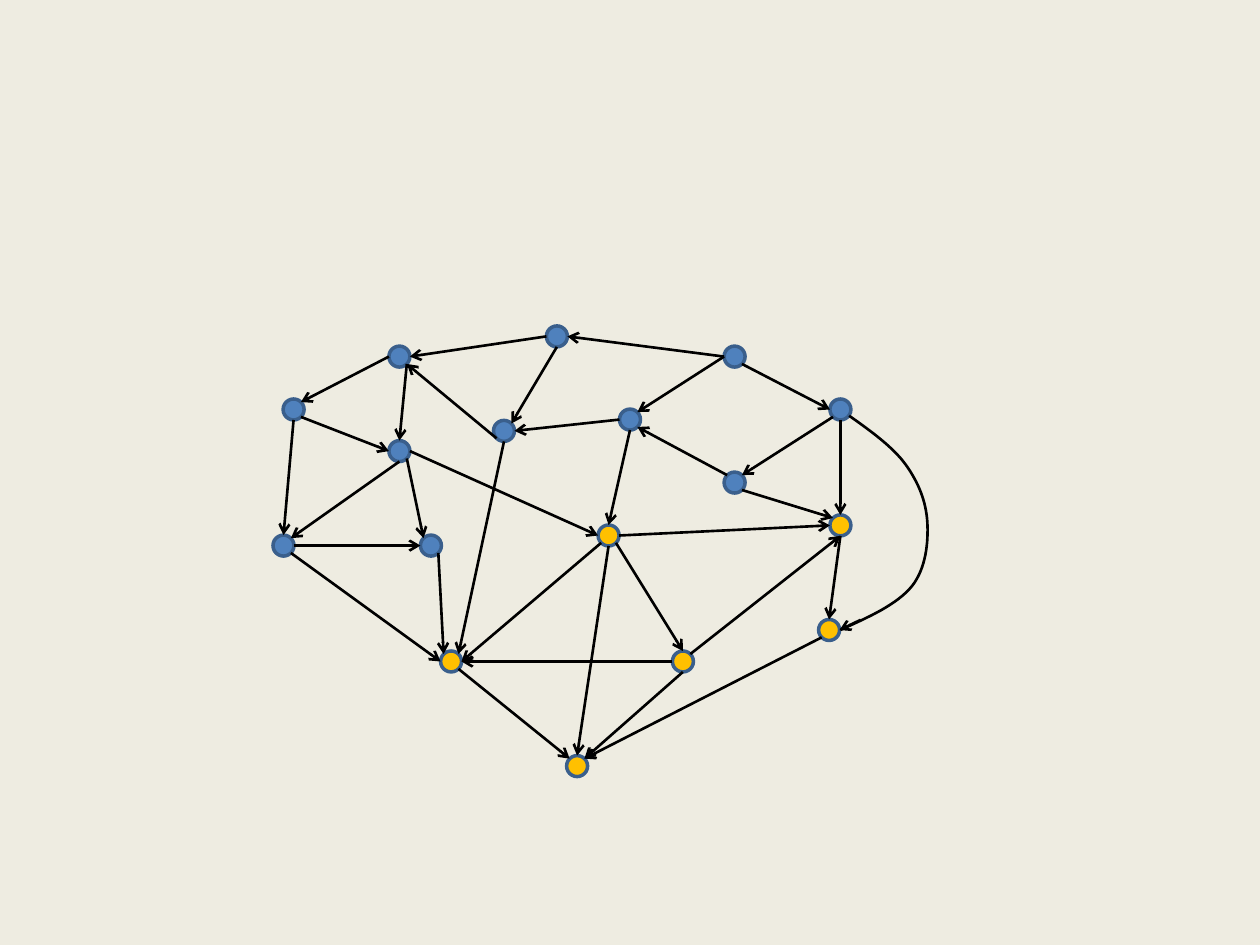
from dataclasses import dataclass
from math import sqrt

from lxml import etree
from pptx import Presentation
from pptx.dml.color import RGBColor
from pptx.enum.shapes import MSO_CONNECTOR, MSO_SHAPE
from pptx.oxml.ns import qn
from pptx.util import Inches, Pt

STRAIGHT = MSO_CONNECTOR.STRAIGHT
OVAL = MSO_SHAPE.OVAL
BLANK_LAYOUT = 6


@dataclass(frozen=True)
class Theme:
    """Colours and measures of the graph."""

    background: RGBColor = RGBColor(0xEE, 0xEC, 0xE1)
    blue: RGBColor = RGBColor(0x4F, 0x81, 0xBD)
    gold: RGBColor = RGBColor(0xFF, 0xC0, 0x00)
    outline: RGBColor = RGBColor(0x3A, 0x5F, 0x8C)
    edge: RGBColor = RGBColor(0, 0, 0)
    outline_width: Pt = Pt(2)
    edge_width: Pt = Pt(1.5)
    radius: float = 1 / 12


THEME = Theme()

BLUE_NODES = {
    "A": (2.33, 3.25), "B": (3.17, 2.83), "C": (4.42, 2.67),
    "D": (5.83, 2.83), "E": (6.67, 3.25), "F": (3.17, 3.58),
    "G": (4.00, 3.42), "H": (5.00, 3.33), "I": (5.83, 3.83),
    "J": (2.25, 4.33), "K": (3.42, 4.33),
}
GOLD_NODES = {
    "L": (4.83, 4.25), "M": (6.67, 4.17), "N": (6.58, 5.00),
    "O": (3.58, 5.25), "P": (5.42, 5.25), "Q": (4.58, 6.08),
}
NODES = {**BLUE_NODES, **GOLD_NODES}

DIAGONAL = 1 / sqrt(2)
SIDES = {
    "n": (0, -1), "s": (0, 1), "w": (-1, 0), "e": (1, 0),
    "nw": (-DIAGONAL, -DIAGONAL), "ne": (DIAGONAL, -DIAGONAL),
    "sw": (-DIAGONAL, DIAGONAL), "se": (DIAGONAL, DIAGONAL),
}

EDGES = [
    "B.w A.ne", "C.w B.e", "D.w H.ne", "D.se E.w", "E.sw I.ne", "D.w C.e",
    "I.nw H.se", "H.w G.e", "C.s G.ne", "B.se F.n", "G.sw B.se", "H.s L.n",
    "P.ne M.s", "L.se P.n", "L.e M.w", "I.se M.nw", "G.s O.ne", "L.sw O.e",
    "P.w O.e", "N.sw Q.ne", "M.s N.n", "P.s Q.ne", "O.se Q.nw", "J.e K.w",
    "A.se F.w", "A.s J.n", "F.se K.nw", "F.e L.w", "K.se O.nw", "L.s Q.n",
    "J.se O.w", "F.s J.ne", "E.s M.n",
]

BYPASS_START = (6.74, 3.30)
BYPASS_CURVES = [
    ((6.91, 3.42), (7.09, 3.55), (7.19, 3.69)),
    ((7.29, 3.83), (7.35, 3.98), (7.36, 4.14)),
    ((7.37, 4.30), (7.35, 4.51), (7.24, 4.65)),
    ((7.12, 4.80), (6.89, 4.90), (6.67, 5.00)),
]
BYPASS_ARROW_START = (6.83, 4.92)
CURVE_STEPS = 16


def to_emu(point):
    """Convert a point in inches to lengths."""
    return tuple(Inches(value) for value in point)


def anchor(name):
    """Return the point on a node's rim for a name such as 'A.ne'."""
    node, side = name.split(".")
    return tuple(centre + THEME.radius * offset
                 for centre, offset in zip(NODES[node], SIDES[side]))


def add_node(shapes, centre, color):
    """Add one round node around its centre."""
    left, top = to_emu(value - THEME.radius for value in centre)
    size = Inches(2 * THEME.radius)
    node = shapes.add_shape(OVAL, left, top, size, size)
    node.shadow.inherit = False
    node.fill.solid()
    node.fill.fore_color.rgb = color
    node.line.color.rgb = THEME.outline
    node.line.width = THEME.outline_width


def style_edge(line):
    """Apply the common edge colour and width."""
    line.color.rgb = THEME.edge
    line.width = THEME.edge_width


def add_arrow(shapes, start, end):
    """Add a straight edge with an open arrowhead at its end."""
    arrow = shapes.add_connector(STRAIGHT, *to_emu(start), *to_emu(end))
    style_edge(arrow.line)
    properties = arrow._element.spPr
    etree.SubElement(properties.find(qn("a:ln")), qn("a:tailEnd"), type="arrow")
    etree.SubElement(properties, qn("a:effectLst"))


def curve_points(start, curves):
    """Yield points along a chain of cubic curves."""
    for first, second, end in curves:
        for step in range(1, CURVE_STEPS + 1):
            t = step / CURVE_STEPS
            weights = ((1 - t) ** 3, 3 * t * (1 - t) ** 2, 3 * t * t * (1 - t), t ** 3)
            yield tuple(sum(weight * value for weight, value in zip(weights, values))
                        for values in zip(start, first, second, end))
        start = end


def add_bypass(shapes):
    """Add the curved edge and its arrowhead as one group."""
    group = shapes.add_group_shape()
    builder = group.shapes.build_freeform(*to_emu(BYPASS_START))
    points = curve_points(BYPASS_START, BYPASS_CURVES)
    builder.add_line_segments([to_emu(point) for point in points], close=False)
    curve = builder.convert_to_shape()
    curve.shadow.inherit = False
    curve.fill.background()
    style_edge(curve.line)
    add_arrow(group.shapes, BYPASS_ARROW_START, anchor("N.e"))


def main():
    """Build the directed graph slide."""
    presentation = Presentation()
    presentation.slide_width = Inches(10)
    presentation.slide_height = Inches(7.5)
    slide = presentation.slides.add_slide(presentation.slide_layouts[BLANK_LAYOUT])
    slide.background.fill.solid()
    slide.background.fill.fore_color.rgb = THEME.background
    for nodes, color in ((BLUE_NODES, THEME.blue), (GOLD_NODES, THEME.gold)):
        for centre in nodes.values():
            add_node(slide.shapes, centre, color)
    for edge in EDGES:
        start, end = edge.split()
        add_arrow(slide.shapes, anchor(start), anchor(end))
    add_bypass(slide.shapes)
    presentation.save("out.pptx")


if __name__ == "__main__":
    main()
